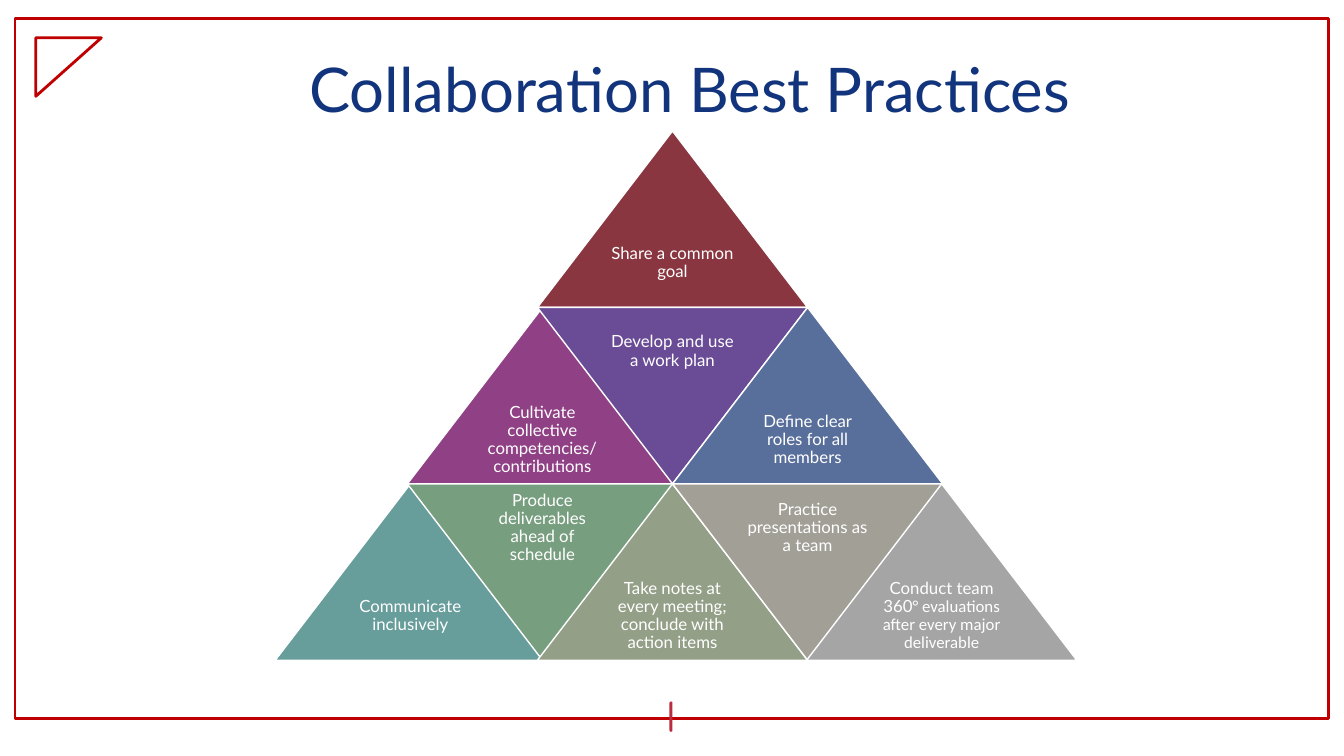
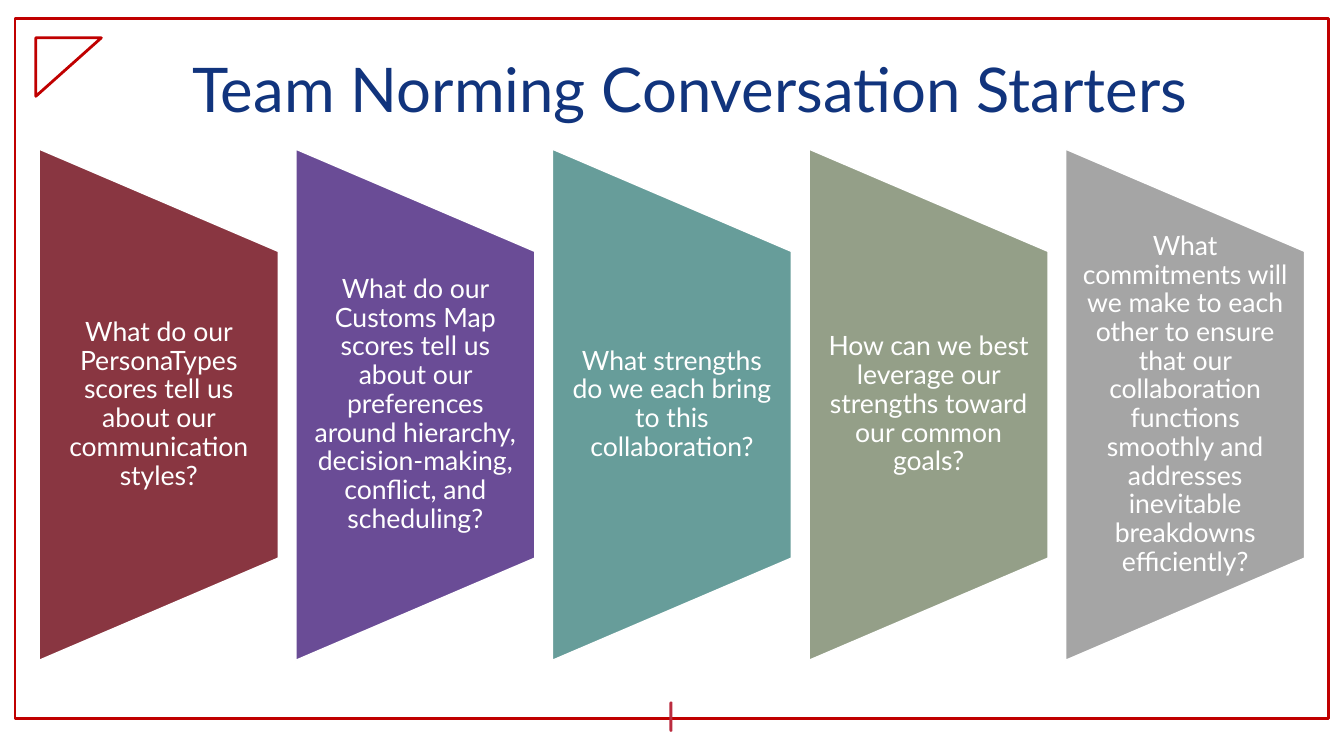
import pptx
import pptx.util
import pptx.dml.color
import pptx.enum.shapes
import pptx.enum.text

Inches, Pt = pptx.util.Inches, pptx.util.Pt
RGB = pptx.dml.color.RGBColor
SHAPE = pptx.enum.shapes.MSO_SHAPE
ALIGN = pptx.enum.text.PP_ALIGN
ANCHOR = pptx.enum.text.MSO_ANCHOR

# Colours and fonts
WHITE = RGB(0xFF, 0xFF, 0xFF)
NAVY = RGB(0x11, 0x34, 0x7D)
RED = RGB(0xC0, 0x00, 0x00)
CRIMSON = RGB(0xBB, 0x2C, 0x3F)
MAROON = RGB(0x89, 0x36, 0x41)
PLUM = RGB(0x90, 0x41, 0x85)
PURPLE = RGB(0x6A, 0x4C, 0x96)
BLUE = RGB(0x59, 0x6F, 0x9B)
TEAL = RGB(0x67, 0x9D, 0x9A)
GREEN = RGB(0x78, 0x9E, 0x80)
SAGE = RGB(0x94, 0x9F, 0x88)
STONE = RGB(0xA2, 0x9F, 0x97)
GRAY = RGB(0xA5, 0xA5, 0xA5)
FONT, TAIL_FONT = "Lato", "Calibri"

# Content: pyramid rows from the top, each cell (colour, text, optional tail)
ROWS = [
    [(MAROON, "Share a common goal")],
    [(PLUM, "Cultivate collective competencies/ contributions"),
     (PURPLE, "Develop and use a work plan"),
     (BLUE, "Define clear roles for all members")],
    [(TEAL, "Communicate inclusively"),
     (GREEN, "Produce deliverables ahead of schedule"),
     (SAGE, "Take notes at every meeting; conclude with action items"),
     (STONE, "Practice presentations as a team"),
     (GRAY, "Conduct team 360",
      "° evaluations after every major deliverable")],
]
STARTERS = [
    (MAROON, "What do our PersonaTypes scores tell us about our "
             "communication styles?"),
    (PURPLE, "What do our Customs Map scores tell us about our preferences "
             "around hierarchy, decision-making, conflict, and scheduling?"),
    (TEAL, "What strengths do we each bring to this collaboration?"),
    (SAGE, "How can we best leverage our strengths toward our common goals?"),
    (GRAY, "What commitments will we make to each other to ensure that our "
           "collaboration functions smoothly and addresses inevitable "
           "breakdowns efficiently?"),
]

# Pyramid and panel sizes in inches
COLS = [2.73, 4.04, 5.33, 6.67, 8]
TRI_W, TRI_H, TRI_TOP = 2.68, 1.75, 1.3
PANEL_W, PANEL_H, PANEL_TOP = 2.37, 5.07, 1.48
FIRST, LAST = 0.39, 10.57


def draw(slide, kind, at, fill=None, line=None, width=1, turn=0):
    shape = slide.shapes.add_shape(kind, *map(Inches, at))
    shape.shadow.inherit = False
    shape.rotation = turn
    if fill is None:
        shape.fill.background()
    else:
        shape.fill.solid()
        shape.fill.fore_color.rgb = fill
    if line is None:
        shape.line.fill.background()
    else:
        shape.line.color.rgb = line
        shape.line.width = Pt(width)
    return shape


def style(frame, size, color):
    frame.word_wrap = True
    frame.auto_size = pptx.enum.text.MSO_AUTO_SIZE.NONE
    frame.vertical_anchor = ANCHOR.MIDDLE
    para = frame.paragraphs[0]
    para.alignment = ALIGN.CENTER
    para.line_spacing = 0.9
    for run in para.runs:
        run.font.name = FONT
        run.font.size = Pt(size)
        run.font.color.rgb = color


def label(slide, at, text, size, side, edge, tail=""):
    frame = slide.shapes.add_textbox(*map(Inches, at)).text_frame
    frame.margin_left = frame.margin_right = Inches(side)
    frame.margin_top = frame.margin_bottom = Inches(edge)
    frame.text = text
    if tail:
        frame.paragraphs[0].add_run().text = tail
    style(frame, size, WHITE)
    if tail:
        frame.paragraphs[0].runs[1].font.name = TAIL_FONT


def add_slide(deck, layout, title):
    slide = deck.slides.add_slide(layout)
    slide.shapes.title.text_frame.text = title
    style(slide.shapes.title.text_frame, 44, NAVY)
    return slide


def frame_layout(layout, slide):
    # Shapes are drawn on a slide, then moved to the shared layout
    marks = [
        draw(slide, SHAPE.RECTANGLE, (0.15, 0.18, 13.03, 6.95),
             line=RED, width=2),
        draw(slide, SHAPE.RIGHT_TRIANGLE, (0.39, 0.34, 0.58, 0.65),
             line=RED, width=2, turn=90),
        draw(slide, SHAPE.ROUND_2_DIAG_RECTANGLE, (6.64, 6.96, 0.03, 0.3),
             fill=CRIMSON),
    ]
    marks[2].adjustments[0] = marks[2].adjustments[1] = 0.5
    for mark in marks:
        layout.shapes.element.append(mark.element)


def pyramid(slide):
    for row, cells in enumerate(ROWS):
        top = TRI_TOP + row * TRI_H
        for i, (color, *text) in enumerate(cells):
            left = COLS[2 - row + i]
            down = i % 2
            draw(slide, SHAPE.ISOSCELES_TRIANGLE, (left, top, TRI_W, TRI_H),
                 color, WHITE, turn=180 * down)
            drop = 0 if down else TRI_H / 2
            label(slide, (left + TRI_W / 4, top + drop, TRI_W / 2, TRI_H / 2),
                  text[0], 12, 0.05, 0.05, *text[1:])


def panels(slide):
    step = (LAST - FIRST) / (len(STARTERS) - 1)
    shift = (PANEL_H - PANEL_W) / 2
    for i, (color, text) in enumerate(STARTERS):
        left = FIRST + i * step
        draw(slide, SHAPE.FLOWCHART_MANUAL_OPERATION,
             (left - shift, PANEL_TOP + shift, PANEL_H, PANEL_W),
             color, WHITE, turn=270)
        label(slide, (left, PANEL_TOP + PANEL_H / 5, PANEL_W, PANEL_H * 0.6),
              text, 19, 0.13, 0)


def main():
    deck = pptx.Presentation()
    deck.slide_width, deck.slide_height = Inches(13.33), Inches(7.5)

    # Shared layout: title place and red frame
    layout = deck.slide_layouts[5]
    title = layout.placeholders[0]
    title.left, title.top = Inches(0.51), Inches(0.19)
    title.width, title.height = Inches(12.67), Inches(1.45)

    first = add_slide(deck, layout, "Collaboration Best Practices")
    frame_layout(layout, first)
    pyramid(first)
    panels(add_slide(deck, layout, "Team Norming Conversation Starters"))
    deck.save("out.pptx")


if __name__ == "__main__":
    main()
